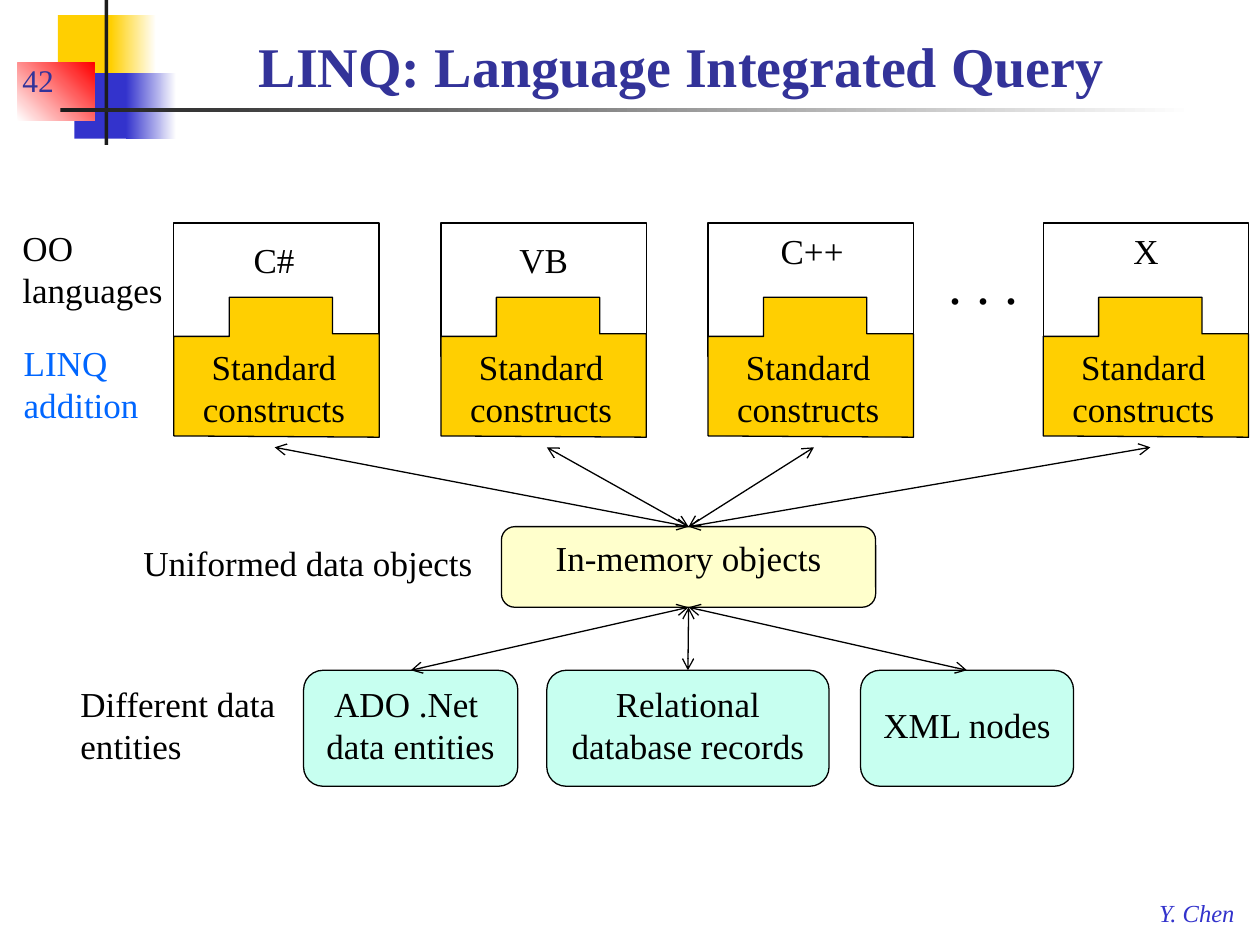
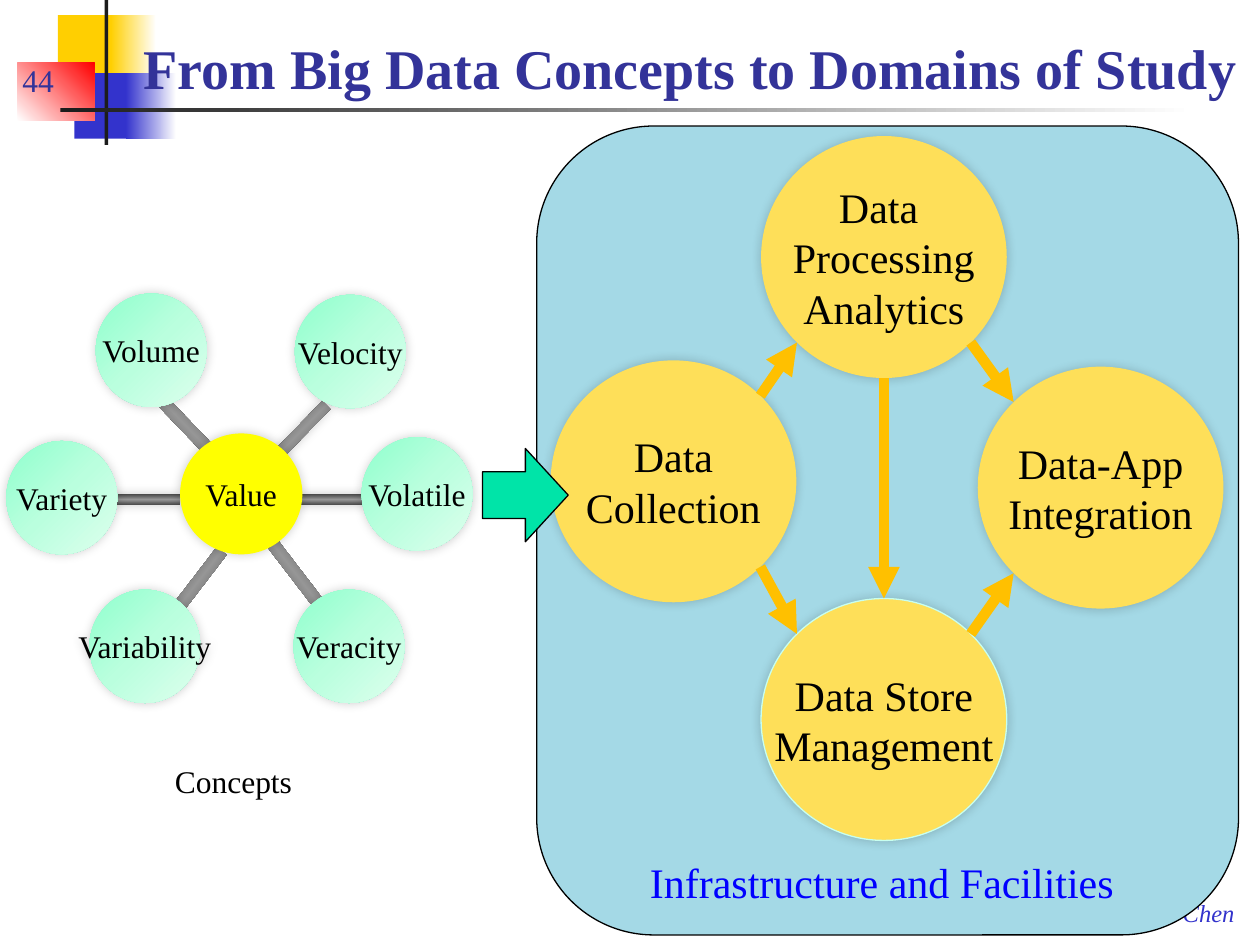
from dataclasses import dataclass
from math import cos, radians, sin

from lxml.etree import SubElement
from pptx import Presentation
from pptx.dml.color import RGBColor
from pptx.enum.shapes import MSO_CONNECTOR, MSO_SHAPE
from pptx.enum.text import MSO_ANCHOR, PP_ALIGN
from pptx.oxml.ns import qn
from pptx.util import Inches, Pt


@dataclass(frozen=True)
class Theme:
    font: str = "Times New Roman"
    ink: str = "000000"
    paper: str = "FFFFFF"
    title: str = "333399"
    gold: str = "FFCF01"
    blue: str = "3333CC"
    red: str = "FF0000"
    rule: str = "1C1C1C"
    addition: str = "0066FF"
    memory: str = "FFFFCC"
    mint: str = "C7FFF0"
    panel: str = "A4D9E6"
    domain: str = "FEDF59"
    flow: str = "FFC000"
    block_arrow: str = "00E4A8"
    caption: str = "0000FF"
    core: str = "FFFF00"
    beam: tuple = ("454545", "969696", "454545")
    bubble: tuple = ("8EFFCD", "BAFFDE", "DDFFEE")
    title_size: int = 32
    large: int = 24
    body: int = 20
    small: int = 18
    footer: int = 14
    thin: float = 0.75
    thick: float = 6


THEME = Theme()


def rgb(color):
    return RGBColor.from_string(color)


def write_text(shape, text, size, color=THEME.ink, align=PP_ALIGN.LEFT,
               anchor=MSO_ANCHOR.TOP, wrap=True, spacing=None, bold=False, italic=False):
    frame = shape.text_frame
    frame.word_wrap = wrap
    frame.vertical_anchor = anchor
    for index, content in enumerate(text.split("\n")):
        paragraph = frame.paragraphs[0] if index == 0 else frame.add_paragraph()
        paragraph.alignment = align
        paragraph.line_spacing = spacing
        for part, words in enumerate(content.split("\v")):
            if part:
                paragraph.add_line_break()
            run = paragraph.add_run()
            run.text = words
            run.font.name = THEME.font
            run.font.size = Pt(size)
            run.font.bold = bold
            run.font.italic = italic
            run.font.color.rgb = rgb(color)


def add_text(slide, box, text, size=THEME.body, **style):
    shape = slide.shapes.add_textbox(*map(Inches, box))
    write_text(shape, text, size, **style)
    return shape


def fill_gradient(shape, colors, clockwise):
    shape.fill.gradient()
    shape.fill.gradient_angle = (360 - clockwise) % 360
    stops = shape._element.spPr.find(qn("a:gradFill")).find(qn("a:gsLst"))
    for stop in list(stops):
        stops.remove(stop)
    for index, color in enumerate(colors):
        position = 100000 * index // (len(colors) - 1)
        stop = SubElement(stops, qn("a:gs"), pos=str(position))
        SubElement(stop, qn("a:srgbClr"), val=color)


def paint(shape, fill, line=None, angle=0, glow=False):
    if isinstance(fill, tuple):
        fill_gradient(shape, fill, angle)
    else:
        shape.fill.solid()
        shape.fill.fore_color.rgb = rgb(fill)
    if line:
        shape.line.color.rgb = rgb(line)
        shape.line.width = Pt(THEME.thin)
    else:
        shape.line.fill.background()
    shape.shadow.inherit = False
    if glow:
        effects = shape._element.spPr.find(qn("a:effectLst"))
        shadow = SubElement(effects, qn("a:outerShdw"), blurRad=str(Pt(6)),
                            dist="0", dir="18900000", rotWithShape="0")
        color = SubElement(shadow, qn("a:srgbClr"), val=THEME.ink)
        SubElement(color, qn("a:alpha"), val="20000")


def add_box(slide, box, fill, kind=MSO_SHAPE.RECTANGLE, **look):
    shape = slide.shapes.add_shape(kind, *map(Inches, box))
    paint(shape, fill, **look)
    return shape


def add_line(slide, start, end, color=THEME.ink, width=THEME.thin, head=None, tail=None):
    points = map(Inches, (*start, *end))
    connector = slide.shapes.add_connector(MSO_CONNECTOR.STRAIGHT, *points)
    connector.line.color.rgb = rgb(color)
    connector.line.width = Pt(width)
    properties = connector._element.spPr
    outline = properties.find(qn("a:ln"))
    for tag, arrow in (("a:headEnd", head), ("a:tailEnd", tail)):
        if arrow:
            SubElement(outline, qn(tag), type=arrow)
    SubElement(properties, qn("a:effectLst"))
    return connector


def add_frame(presentation, title, title_box, number, align, spacing=None):
    slide = presentation.slides.add_slide(presentation.slide_layouts[6])
    for box, fill, angle in (
        ((0.46, 0.12, 0.48, 0.52), THEME.gold, 0),
        ((0.88, 0.12, 0.36, 0.52), (THEME.gold, THEME.paper), 0),
        ((0.59, 0.58, 0.46, 0.52), THEME.blue, 0),
        ((1, 0.58, 0.4, 0.52), (THEME.blue, THEME.paper), 0),
        ((0.14, 0.5, 0.61, 0.46), (THEME.paper, THEME.red), 315),
        ((0.83, 0, 0.03, 1.15), THEME.rule, 0),
        ((0.48, 0.86, 9, 0.03), (THEME.rule, THEME.paper), 0),
    ):
        add_box(slide, box, fill, angle=angle)
    add_text(slide, (9.1, 7.08, 0.82, 0.33), "Y. Chen", THEME.footer,
             color=THEME.blue, italic=True, wrap=False)
    add_text(slide, (0.08, 0.33, 0.75, 0.5), number, THEME.small,
             color=THEME.title, anchor=MSO_ANCHOR.BOTTOM)
    add_text(slide, title_box, title, THEME.title_size, color=THEME.title, bold=True,
             align=align, anchor=MSO_ANCHOR.BOTTOM, spacing=spacing)
    return slide


def add_language(slide, left, name, name_left, name_top):
    top = 1.77
    add_box(slide, (left, top, 1.63, 1.06), THEME.paper, line=THEME.ink)
    add_text(slide, (name_left, name_top, 1.45, 0.44), name, align=PP_ALIGN.CENTER)
    outline = [(0, 0.9), (0.44, 0.9), (0.44, 0.59), (1.26, 0.59),
               (1.26, 0.88), (1.63, 0.88), (1.63, 1.7), (0, 1.69)]
    points = [(Inches(left + x), Inches(top + y)) for x, y in outline]
    builder = slide.shapes.build_freeform(*points[0])
    builder.add_line_segments(points[1:], close=True)
    paint(builder.convert_to_shape(), THEME.gold, line=THEME.ink)
    add_text(slide, (left + 0.01, 2.69, 1.57, 0.77), "Standard constructs",
             align=PP_ALIGN.CENTER)


def add_rounded(slide, box, text, fill, spacing=None):
    shape = add_box(slide, box, fill, MSO_SHAPE.ROUNDED_RECTANGLE, line=THEME.ink)
    write_text(shape, text, THEME.body, align=PP_ALIGN.CENTER, spacing=spacing)
    return shape


def build_linq(presentation):
    slide = add_frame(presentation, "LINQ: Language Integrated Query",
                      (1, 0.08, 8.82, 0.75), "42", PP_ALIGN.CENTER, 1.3)
    for language in (
        (1.38, "C#", 1.45, 1.84),
        (3.5, "VB", 3.59, 1.84),
        (5.62, "C++", 5.72, 1.77),
        (8.28, "X", 8.37, 1.77),
    ):
        add_language(slide, *language)
    add_text(slide, (7.43, 1.92, 0.76, 0.64), ". . .", THEME.title_size, wrap=False)

    memory = add_rounded(slide, (3.98, 4.18, 2.97, 0.64), "In-memory objects", THEME.memory)
    for x in (2.18, 4.34, 6.46, 9.13):
        link = add_line(slide, (x, 3.55), (5.46, 4.18), head="arrow", tail="arrow")
        link.end_connect(memory, 0)

    for left, width, text, spacing in (
        (2.41, 1.7, "ADO .Net \vdata entities", None),
        (4.34, 2.24, "Relational database records", None),
        (6.83, 1.69, "XML nodes", 1.5),
    ):
        entity = add_rounded(slide, (left, 5.32, width, 0.92), text, THEME.mint, spacing)
        link = add_line(slide, (left + width / 2, 5.32), (5.46, 4.82),
                        head="arrow", tail="arrow")
        link.begin_connect(entity, 0)
        link.end_connect(memory, 2)

    for box, label, color in (
        ((0.08, 1.75, 1.31, 0.77), "OO languages", THEME.ink),
        ((0.09, 2.66, 1.57, 0.77), "LINQ addition", THEME.addition),
        ((1.04, 4.25, 2.97, 0.44), "Uniformed data objects", THEME.ink),
        ((0.54, 5.37, 1.82, 0.77), "Different data entities", THEME.ink),
    ):
        add_text(slide, box, label, color=color)


def add_circle(slide, box, text, fill, size, **look):
    shape = add_box(slide, box, fill, MSO_SHAPE.OVAL, glow=True, **look)
    write_text(shape, text, size, align=PP_ALIGN.CENTER, anchor=MSO_ANCHOR.MIDDLE, wrap=False)


def add_domains(slide):
    width, height = 1.95, 1.92
    domains = {
        "collection": (4.37, 2.86, "Data\nCollection", None),
        "analytics": (6.04, 1.08, "Data \vProcessing\nAnalytics", None),
        "store": (6.04, 4.75, "Data Store\nManagement", THEME.mint),
        "integration": (7.76, 2.91, "Data-App\nIntegration", None),
    }

    def rim(name, degrees):
        left, top = domains[name][:2]
        angle = radians(degrees)
        return (left + width / 2 * (1 + cos(angle)), top + height / 2 * (1 + sin(angle)))

    add_box(slide, (4.26, 1, 5.57, 6.42), THEME.panel,
            MSO_SHAPE.ROUNDED_RECTANGLE, line=THEME.ink)
    for left, top, text, line in domains.values():
        add_circle(slide, (left, top, width, height), text, THEME.domain,
                   THEME.large, line=line)
    add_box(slide, (3.83, 3.56, 0.68, 0.74), THEME.block_arrow,
            MSO_SHAPE.RIGHT_ARROW, line=THEME.ink)
    for source, leave, target, arrive in (
        ("collection", -45, "analytics", 135),
        ("collection", 45, "store", 225),
        ("analytics", 90, "store", -90),
        ("analytics", 45, "integration", 225),
        ("store", -45, "integration", 135),
    ):
        add_line(slide, rim(source, leave), rim(target, arrive),
                 THEME.flow, THEME.thick, tail="triangle")
    add_text(slide, (5.06, 6.75, 3.92, 0.5), "Infrastructure and Facilities",
             THEME.large, color=THEME.caption, wrap=False)


def add_concepts(slide):
    for box, rotation, glow in (
        ((1.3, 4.55, 0.57, 0.1), 127.5, False),
        ((0.9, 3.92, 0.53, 0.09), 0, True),
        ((1.2, 3.34, 0.57, 0.1), 46.2, False),
        ((2.14, 3.36, 0.53, 0.09), 314.1, True),
        ((2.06, 4.5, 0.57, 0.1), 232.5, False),
        ((2.37, 3.92, 0.53, 0.09), 0, True),
    ):
        beam = add_box(slide, box, THEME.beam, angle=90, glow=glow)
        beam.rotation = rotation
    for left, top, name in (
        (0.05, 3.5, "Variety"),
        (2.34, 2.34, "Velocity"),
        (0.76, 2.33, "Volume"),
        (0.71, 4.68, "Variability"),
        (2.33, 4.68, "Veracity"),
        (2.87, 3.47, "Volatile"),
    ):
        add_circle(slide, (left, top, 0.88, 0.9), name, THEME.bubble, THEME.small, angle=45)
    add_circle(slide, (1.43, 3.44, 0.97, 0.96), "Value", THEME.core, THEME.small)
    add_text(slide, (1.29, 6, 1.2, 0.4), "Concepts", THEME.small, wrap=False)


def build_big_data(presentation):
    slide = add_frame(presentation, "From Big Data Concepts to Domains of Study",
                      (0.93, 0.17, 8.99, 0.68), "44", PP_ALIGN.RIGHT)
    add_domains(slide)
    add_concepts(slide)


def main():
    presentation = Presentation()
    presentation.slide_width = Inches(10)
    presentation.slide_height = Inches(7.5)
    build_linq(presentation)
    build_big_data(presentation)
    presentation.save("out.pptx")


if __name__ == "__main__":
    main()
